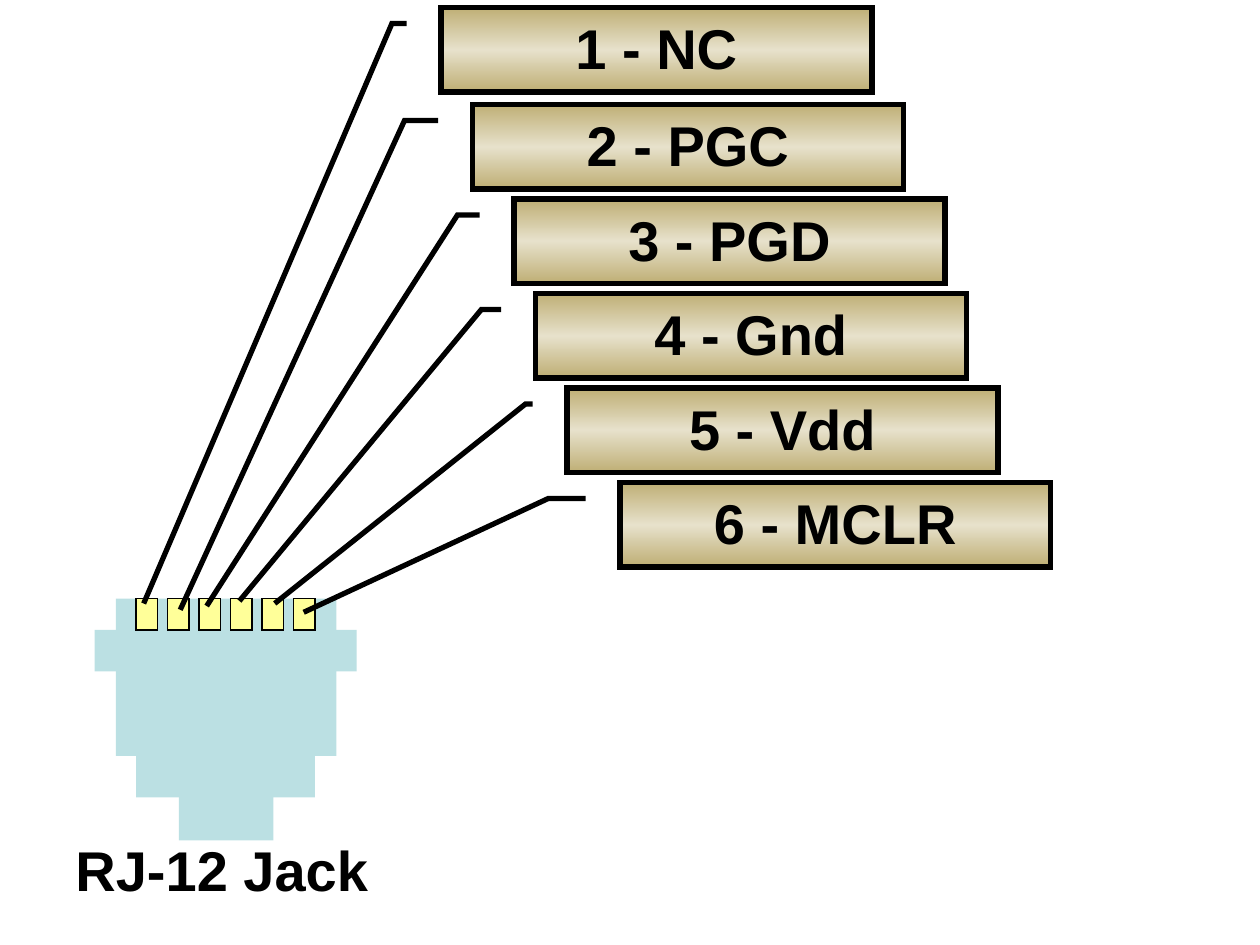
from copy import deepcopy

from lxml.etree import SubElement
from pptx import Presentation
from pptx.dml.color import RGBColor
from pptx.enum.shapes import MSO_SHAPE
from pptx.enum.text import MSO_ANCHOR, MSO_AUTO_SIZE, PP_ALIGN
from pptx.oxml.ns import qn
from pptx.util import Inches, Pt

COLORS = {
    "jack": "BBE0E3",
    "contact": "FFFF99",
    "ink": "000000",
    "label_edge": "BEAE74",
    "label_middle": "E7E1CB",
}
FONT = "Arial"
CAPTION = "RJ-12 Jack"

# Pin name, label left, leader elbow x, leader tip (x, y)
PINS = [
    ("1 - NC", 3.5, 3.11, (1.14, 4.79)),
    ("2 - PGC", 3.75, 3.21, (1.43, 4.84)),
    ("3 - PGD", 4.08, 3.63, (1.64, 4.81)),
    ("4 - Gnd", 4.25, 3.82, (1.9, 4.77)),
    ("5 - Vdd", 4.5, 4.17, (2.18, 4.79)),
    ("6 - MCLR", 4.92, 4.35, (2.41, 4.86)),
]
LABEL_WIDTH, LABEL_HEIGHT = 3.42, 0.67
FIRST_LABEL_TOP, SECOND_LABEL_TOP, LABEL_STEP = 0.06, 0.83, 0.75

# Left, top, width, height of the jack's parts
JACK_PARTS = [
    (0.92, 4.75, 1.75, 1.25),
    (0.75, 5, 2.08, 0.33),
    (1.08, 5.83, 1.42, 0.5),
    (1.42, 6.25, 0.75, 0.42),
]
CONTACT_LEFT, CONTACT_TOP, CONTACT_STEP = 1.08, 4.75, 0.25


def color(name):
    return RGBColor.from_string(COLORS[name])


def add_box(shapes, kind, left, top, width, height, fill=None, line_width=None):
    shape = shapes.add_shape(
        kind, Inches(left), Inches(top), Inches(width), Inches(height))
    shape.shadow.inherit = False
    if fill:
        shape.fill.solid()
        shape.fill.fore_color.rgb = color(fill)
    if line_width:
        shape.line.color.rgb = color("ink")
        shape.line.width = Pt(line_width)
        # Square corners
        outline = shape._element.spPr.find(qn("a:ln"))
        SubElement(outline, qn("a:miter"), lim="800000")
    else:
        shape.line.fill.background()
    return shape


def write(shape, text, alignment):
    shape.text_frame.word_wrap = True
    shape.text_frame.vertical_anchor = MSO_ANCHOR.TOP
    paragraph = shape.text_frame.paragraphs[0]
    paragraph.alignment = alignment
    run = paragraph.add_run()
    run.text = text
    run.font.name = FONT
    run.font.size = Pt(32)
    run.font.bold = True
    run.font.color.rgb = color("ink")


def fill_with_sheen(shape):
    shape.fill.gradient()
    shape.fill.gradient_angle = 90
    first, last = shape.fill.gradient_stops
    for stop, position in ((first, 0), (last, 1)):
        stop.color.rgb = color("label_edge")
        stop.position = position
    # A third stop in the middle
    stop_list = shape.fill._fill._gradFill.gsLst
    stop_list.insert(1, deepcopy(stop_list[0]))
    middle = shape.fill.gradient_stops[1]
    middle.color.rgb = color("label_middle")
    middle.position = 0.5


def add_pin_label(slide, index, text, left, elbow_x, tip):
    top = SECOND_LABEL_TOP + (index - 1) * LABEL_STEP if index else FIRST_LABEL_TOP
    label = add_box(slide.shapes, MSO_SHAPE.LINE_CALLOUT_2, left, top,
                    LABEL_WIDTH, LABEL_HEIGHT, line_width=3)
    fill_with_sheen(label)
    # Leader points as (y, x) fractions of the label: start, elbow, tip
    tip_x, tip_y = tip
    leader = (0.19, -0.08,
              0.19, (elbow_x - left) / LABEL_WIDTH,
              (tip_y - top) / LABEL_HEIGHT, (tip_x - left) / LABEL_WIDTH)
    for number, value in enumerate(leader):
        label.adjustments[number] = value
    write(label, text, PP_ALIGN.CENTER)


def main():
    presentation = Presentation()
    presentation.slide_width = Inches(10)
    presentation.slide_height = Inches(7.5)
    slide = presentation.slides.add_slide(presentation.slide_layouts[6])

    # Jack body
    jack = slide.shapes.add_group_shape()
    for part in JACK_PARTS:
        add_box(jack.shapes, MSO_SHAPE.RECTANGLE, *part, fill="jack")

    # Contacts, one for each pin
    for index in range(len(PINS)):
        add_box(slide.shapes, MSO_SHAPE.RECTANGLE,
                CONTACT_LEFT + index * CONTACT_STEP, CONTACT_TOP, 0.17, 0.25,
                fill="contact", line_width=0.75)

    # Caption, wide enough for a single line
    caption = slide.shapes.add_textbox(
        Inches(0.5), Inches(6.58), Inches(2.65), Inches(0.64))
    caption.text_frame.auto_size = MSO_AUTO_SIZE.NONE
    write(caption, CAPTION, PP_ALIGN.LEFT)

    # Pin labels with leaders
    for index, pin in enumerate(PINS):
        add_pin_label(slide, index, *pin)

    presentation.save("out.pptx")


if __name__ == "__main__":
    main()
